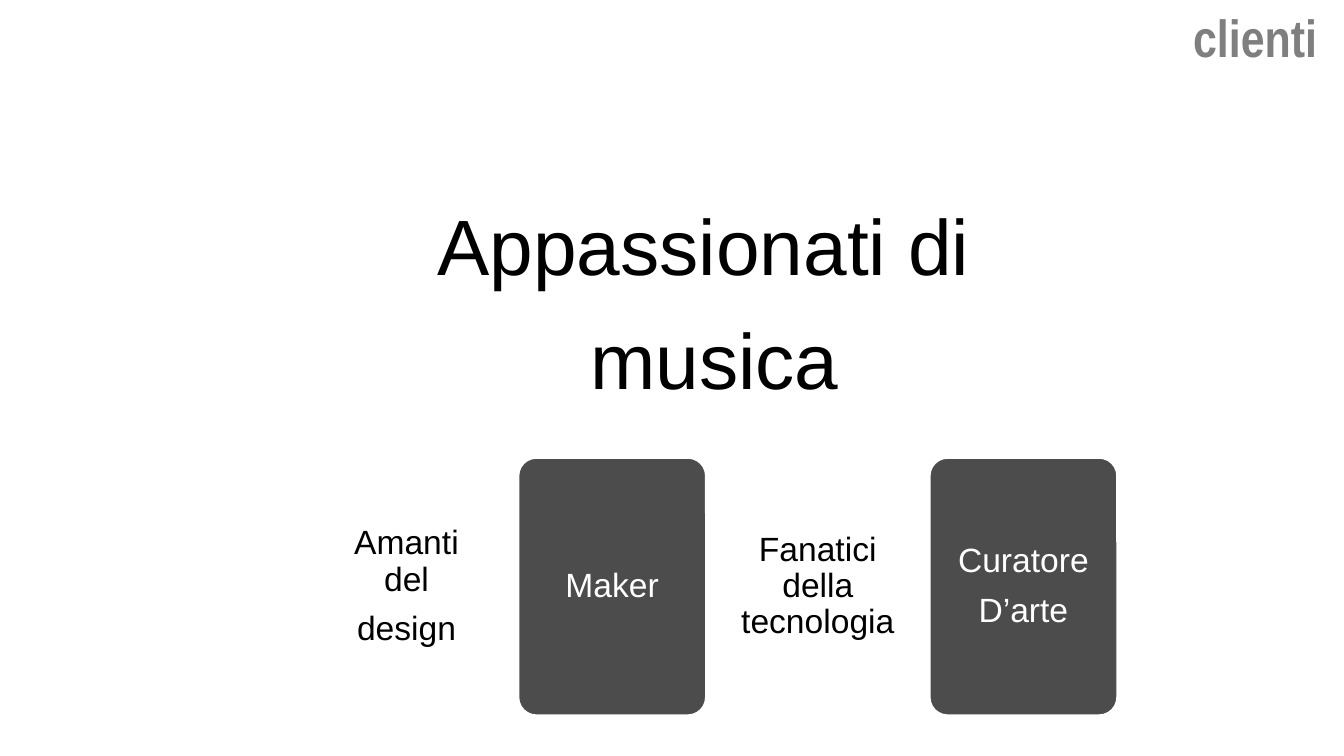
import pptx
import pptx.dml.color
import pptx.enum.shapes
import pptx.enum.text
import pptx.oxml.ns
import pptx.util
from lxml import etree

Inches = pptx.util.Inches
Pt = pptx.util.Pt


def set_color(color_format, value):
    color_format.rgb = pptx.dml.color.RGBColor.from_string(value)


def write_text(frame, text, size, color, font="Arial", bold=False,
               align=pptx.enum.text.PP_ALIGN.LEFT, line_spacing=1.0, space_after=0):
    for index, line in enumerate(text.split("\n")):
        paragraph = frame.paragraphs[0] if index == 0 else frame.add_paragraph()
        paragraph.alignment = align
        paragraph.line_spacing = line_spacing
        paragraph.space_after = Pt(space_after)
        run = paragraph.add_run()
        run.text = line
        run.font.name = font
        run.font.size = Pt(size)
        run.font.bold = bold
        set_color(run.font.color, color)


class SlideBuilder:
    """Holds the card style and the slide being built."""

    line_color = "FFFFFF"
    line_width = 2
    corner = 0.1

    def __init__(self, slide):
        self.slide = slide

    def add_text(self, left, top, width, height, text, inset=(0.1, 0.05),
                 anchor=pptx.enum.text.MSO_ANCHOR.TOP, **text_format):
        box = self.slide.shapes.add_textbox(
            Inches(left), Inches(top), Inches(width), Inches(height))
        frame = box.text_frame
        frame.word_wrap = True
        frame.vertical_anchor = anchor
        frame.margin_left = frame.margin_right = Inches(inset[0])
        frame.margin_top = frame.margin_bottom = Inches(inset[1])
        write_text(frame, text, **text_format)

    def add_panel(self, left, top, width, height, fill, opacity):
        shape = self.slide.shapes.add_shape(
            pptx.enum.shapes.MSO_SHAPE.ROUNDED_RECTANGLE,
            Inches(left), Inches(top), Inches(width), Inches(height))
        shape.shadow.inherit = False
        shape.adjustments[0] = self.corner
        shape.fill.solid()
        set_color(shape.fill.fore_color, fill)
        color_element = shape.fill._xPr.find(".//" + pptx.oxml.ns.qn("a:srgbClr"))
        alpha = etree.SubElement(color_element, pptx.oxml.ns.qn("a:alpha"))
        alpha.set("val", str(opacity * 1000))
        set_color(shape.line.color, self.line_color)
        shape.line.width = Pt(self.line_width)

    def add_card(self, left, top, width, height, text, size, fill, color,
                 opacity, margin, inset):
        self.add_panel(left, top, width, height, fill, opacity)
        self.add_text(left + margin, top + margin, width - 2 * margin, height - 2 * margin,
                      text, inset=(inset, inset), anchor=pptx.enum.text.MSO_ANCHOR.MIDDLE,
                      size=size, color=color, align=pptx.enum.text.PP_ALIGN.CENTER,
                      line_spacing=0.9, space_after=round(size * 0.37))


def main():
    presentation = pptx.Presentation()
    presentation.slide_width = Inches(10)
    presentation.slide_height = Inches(10) * 9 // 16
    builder = SlideBuilder(presentation.slides.add_slide(presentation.slide_layouts[6]))

    builder.add_text(8.78, -0.01, 1.34, 0.57, "clienti", size=28, color="7F7F7F",
                     font="Arial Narrow", bold=True)

    left, pitch = 2.32, 1.53
    builder.add_card(left, 1.32, 5.99, 1.93, "Appassionati di \nmusica", size=42,
                     fill="FFFFFF", color="000000", opacity=80, margin=0.06, inset=0.17)

    light, dark = ("FFFFFF", "000000"), ("000000", "FFFFFF")
    audiences = [
        ("Amanti del\ndesign", light),
        ("Maker", dark),
        ("Fanatici della tecnologia", light),
        ("Curatore\nD’arte", dark),
    ]
    for index, (text, (fill, color)) in enumerate(audiences):
        builder.add_card(left + index * pitch, 3.4, 1.41, 1.93, text, size=18,
                         fill=fill, color=color, opacity=70, margin=0.04, inset=0.08)

    presentation.save("out.pptx")


if __name__ == "__main__":
    main()
